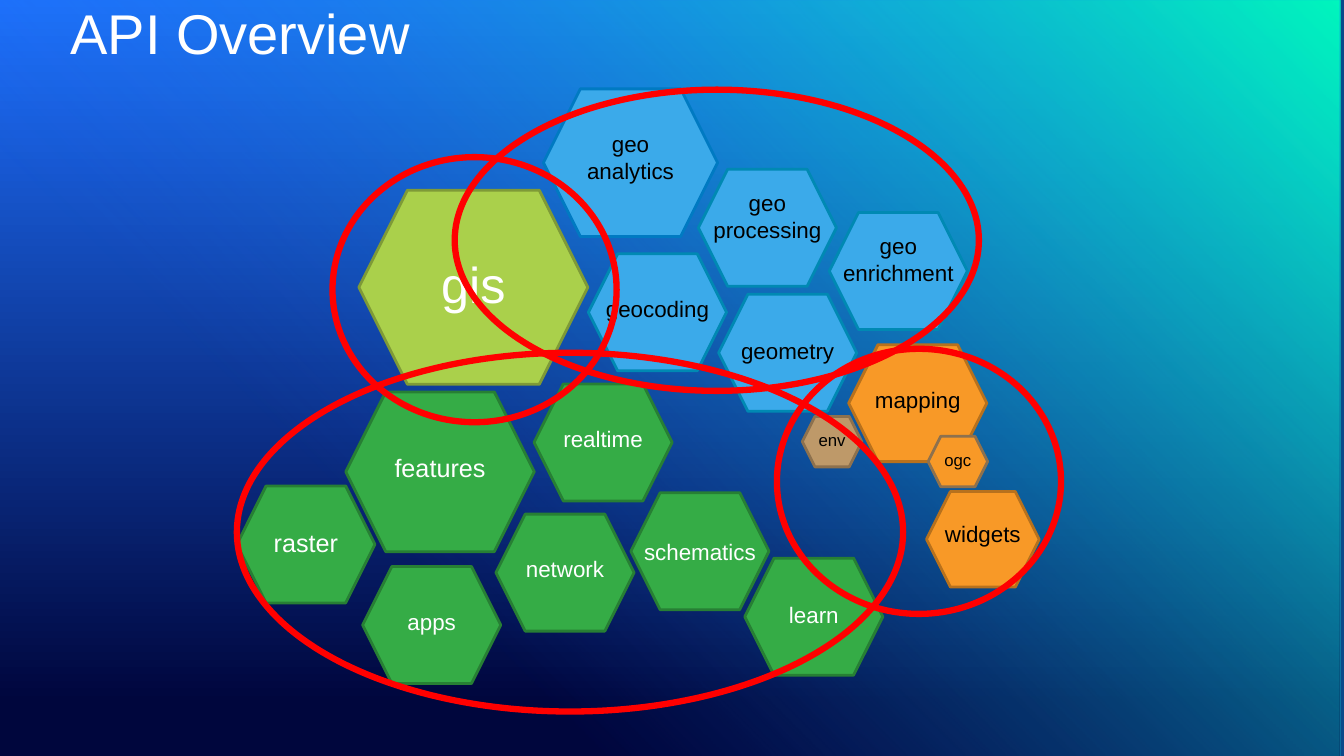
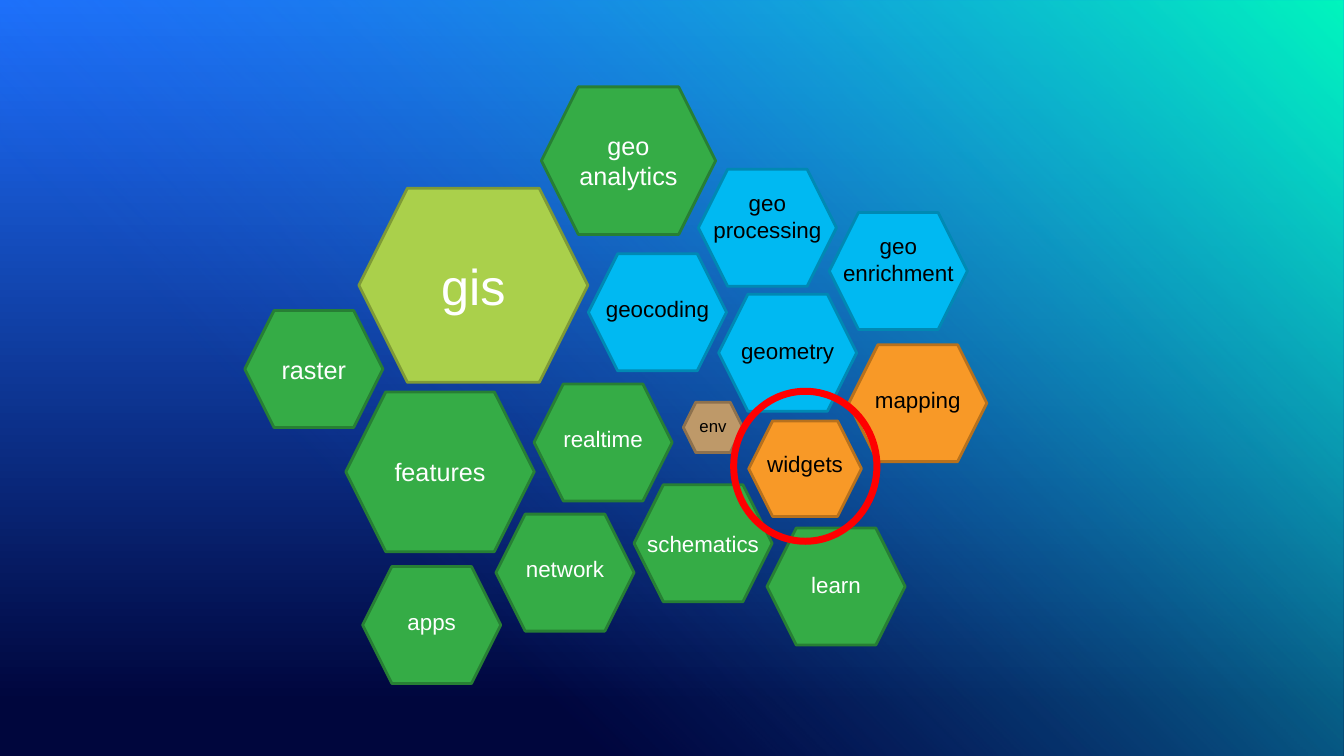
"""Builds two slides that show the modules of a GIS API as a honeycomb."""
from dataclasses import dataclass, replace

from lxml.etree import SubElement
from pptx import Presentation
from pptx.dml.color import RGBColor as RGB
from pptx.enum.shapes import MSO_SHAPE as SHAPE
from pptx.enum.text import MSO_ANCHOR as ANCHOR, MSO_AUTO_SIZE as AUTO, PP_ALIGN as ALIGN
from pptx.oxml.ns import qn
from pptx.util import Cm, Pt

FONT = "Arial"
WIDTH, HEIGHT = 33.87, 19.05
HEX_RATIO = 1.18
CLOUD = (5, 2)
C = {
    "base": "0A4A8A", "sky": "1E71FF", "night": "00063D",
    "mint": "00F7BD", "haze": "1D60D6", "ring": "FF0000",
    "white": "FFFFFF", "black": "000000",
    "lime": "AAD04B", "lime_line": "7E9A37",
    "green": "35AC46", "green_line": "277F34",
    "pale": "3BAAEA", "cyan": "00B9F2", "blue_line": "0089B3", "deep_line": "007AC2",
    "orange": "F89927", "orange_line": "B7711D",
    "tan": "BE9969", "tan_line": "8D714E",
}
STYLES = {
    "core": ("lime", "lime_line", "white"),
    "data": ("green", "green_line", "white"),
    "tool": ("pale", "blue_line", "black"),
    "tool_deep": ("pale", "deep_line", "black"),
    "tool_bright": ("cyan", "blue_line", "black"),
    "view": ("orange", "orange_line", "black"),
    "view_small": ("orange", "tan_line", "black"),
    "setup": ("tan", "tan_line", "black"),
}


@dataclass
class Cell:
    """One hexagon: label, centre in the cloud, style, width, text size and text lift."""
    label: str
    x: float
    y: float
    style: str
    width: float = 3.48
    size: int = 16
    lift: float = 0.1


CELLS = {
    "widgets": Cell("widgets", 19.77, 11.59, "view", 2.84, lift=0.14),
    "mapping": Cell("mapping", 18.13, 8.16, "view"),
    "ogc": Cell("ogc", 19.14, 9.63, "view_small", 1.5, 12, 0.04),
    "env": Cell("env", 15.97, 9.13, "setup", 1.5, 12, 0.04),
    "geocoding": Cell("geocoding", 11.57, 5.87, "tool"),
    "geometry": Cell("geometry", 14.85, 6.89, "tool", lift=0.05),
    "processing": Cell("geo\nprocessing", 14.34, 3.74, "tool", lift=0.3),
    "analytics": Cell("geo\nanalytics", 10.89, 2.1, "tool_deep", 4.39, lift=0.15),
    "enrichment": Cell("geo\nenrichment", 17.64, 4.83, "tool", lift=0.3),
    "schematics": Cell("schematics", 12.64, 11.89, "data", lift=0),
    "network": Cell("network", 9.24, 12.43, "data"),
    "realtime": Cell("realtime", 10.2, 9.15, "data"),
    "learn": Cell("learn", 15.51, 13.54, "data", lift=0.05),
    "apps": Cell("apps", 5.88, 13.75, "data"),
    "raster": Cell("raster", 2.71, 11.72, "data", size=18, lift=0.05),
    "features": Cell("features", 6.09, 9.89, "data", 4.75, 18),
    "gis": Cell("gis", 6.93, 5.24, "core", 5.77, 36),
}
CHANGES = {
    "widgets": dict(x=15.29, y=9.81),
    "env": dict(x=12.97, y=8.77),
    "analytics": dict(x=10.84, y=2.05, style="data", size=18, lift=0),
    "schematics": dict(x=12.72, y=11.69),
    "learn": dict(x=16.07, y=12.78),
    "raster": dict(x=2.91, y=7.3, lift=0),
    "features": dict(lift=0),
    "gis": dict(y=5.19, lift=0),
}
GROUP_RINGS = [
    (3.38, 1.96, 7.16, 6.68), (0.97, 6.89, 16.79, 9.04),
    (6.46, 0.26, 13.21, 7.59), (14.58, 6.79, 7.16, 6.68),
]
WIDGET_RING = (13.49, 7.86, 3.61, 3.78)


def rgb(name):
    """Return the named colour."""
    return RGB.from_string(C[name])


def add_shape(slide, kind, left, top, width, height):
    """Add a preset shape without shadow, measured in centimetres."""
    sp = slide.shapes.add_shape(kind, Cm(left), Cm(top), Cm(width), Cm(height))
    sp.shadow.inherit = False
    return sp


def add_wash(slide, left, stops, angle, fade=False):
    """Cover the slide with a two-colour gradient that may fade to nothing."""
    sp = add_shape(slide, SHAPE.RECTANGLE, left, 0, WIDTH, HEIGHT)
    sp.line.fill.background()
    sp.fill.gradient()
    sp.fill.gradient_angle = 360 - angle
    for stop, (position, name) in zip(sp.fill.gradient_stops, stops):
        stop.position = position
        stop.color.rgb = rgb(name)
    if fade:
        last = list(sp._element.spPr.iter(qn("a:srgbClr")))[-1]
        SubElement(last, qn("a:alpha")).set("val", "0")


def add_backdrop(slide, left=0):
    """Lay the two gradients behind the content."""
    add_wash(slide, left, [(0, "sky"), (0.93, "night")], 90)
    add_wash(slide, left, [(0, "mint"), (0.71, "haze")], 135, fade=True)


def add_title(slide, text):
    """Fill the title placeholder and bring it in front of the backdrop."""
    title = slide.shapes.title
    title.left, title.top, title.width, title.height = Cm(1.78), Cm(-0.05), Cm(30.07), Cm(1.7)
    slide.shapes._spTree.append(title._element)
    tf = title.text_frame
    tf.text = text
    tf.auto_size = AUTO.NONE
    tf.vertical_anchor = ANCHOR.BOTTOM
    tf.margin_left = tf.margin_top = tf.margin_right = tf.margin_bottom = 0
    p = tf.paragraphs[0]
    p.alignment = ALIGN.LEFT
    p.font.name, p.font.size = FONT, Pt(40)
    p.font.color.rgb = rgb("white")


def add_cell(slide, cell, origin):
    """Draw one labelled hexagon around its centre."""
    fill, line, ink = STYLES[cell.style]
    height = cell.width / HEX_RATIO
    sp = add_shape(slide, SHAPE.HEXAGON, origin[0] + cell.x - cell.width / 2,
                   origin[1] + cell.y - height / 2, cell.width, height)
    sp.fill.solid()
    sp.fill.fore_color.rgb = rgb(fill)
    sp.line.color.rgb = rgb(line)
    sp.line.width = Pt(2)
    tf = sp.text_frame
    tf.text = cell.label
    tf.word_wrap = False
    tf.vertical_anchor = ANCHOR.MIDDLE
    tf.margin_left = tf.margin_top = tf.margin_right = 0
    tf.margin_bottom = Cm(2 * cell.lift)
    for p in tf.paragraphs:
        p.alignment = ALIGN.CENTER
        p.font.name, p.font.size = FONT, Pt(cell.size)
        p.font.color.rgb = rgb(ink)


def add_ring(slide, box, origin, weight):
    """Circle a part of the cloud in red."""
    left, top, width, height = box
    sp = add_shape(slide, SHAPE.OVAL, origin[0] + left, origin[1] + top, width, height)
    sp.fill.background()
    sp.line.color.rgb = rgb("ring")
    sp.line.width = Pt(weight)


def add_cloud(slide, cells, rings, weight, origin=CLOUD):
    """Draw the hexagons and then the rings from the given origin."""
    for cell in cells:
        add_cell(slide, cell, origin)
    for box in rings:
        add_ring(slide, box, origin, weight)


def focus_cells():
    """Return the cells of the second slide, rearranged and recoloured."""
    for name, cell in CELLS.items():
        if name == "ogc":
            continue
        if cell.style == "tool":
            cell = replace(cell, style="tool_bright")
        yield replace(cell, **CHANGES.get(name, {}))


def main():
    """Build and save the presentation."""
    prs = Presentation()
    prs.slide_width, prs.slide_height = Cm(WIDTH), Cm(HEIGHT)
    fill = prs.slide_master.background.fill
    fill.solid()
    fill.fore_color.rgb = rgb("base")

    overview = prs.slides.add_slide(prs.slide_layouts.get_by_name("Title Only"))
    add_backdrop(overview, left=-0.1)
    add_title(overview, "API Overview")
    add_cloud(overview, CELLS.values(), GROUP_RINGS, 4.5)

    focus = prs.slides.add_slide(prs.slide_layouts.get_by_name("Blank"))
    add_backdrop(focus)
    add_cloud(focus, focus_cells(), [WIDGET_RING], 5)

    prs.save("out.pptx")


if __name__ == "__main__":
    main()
